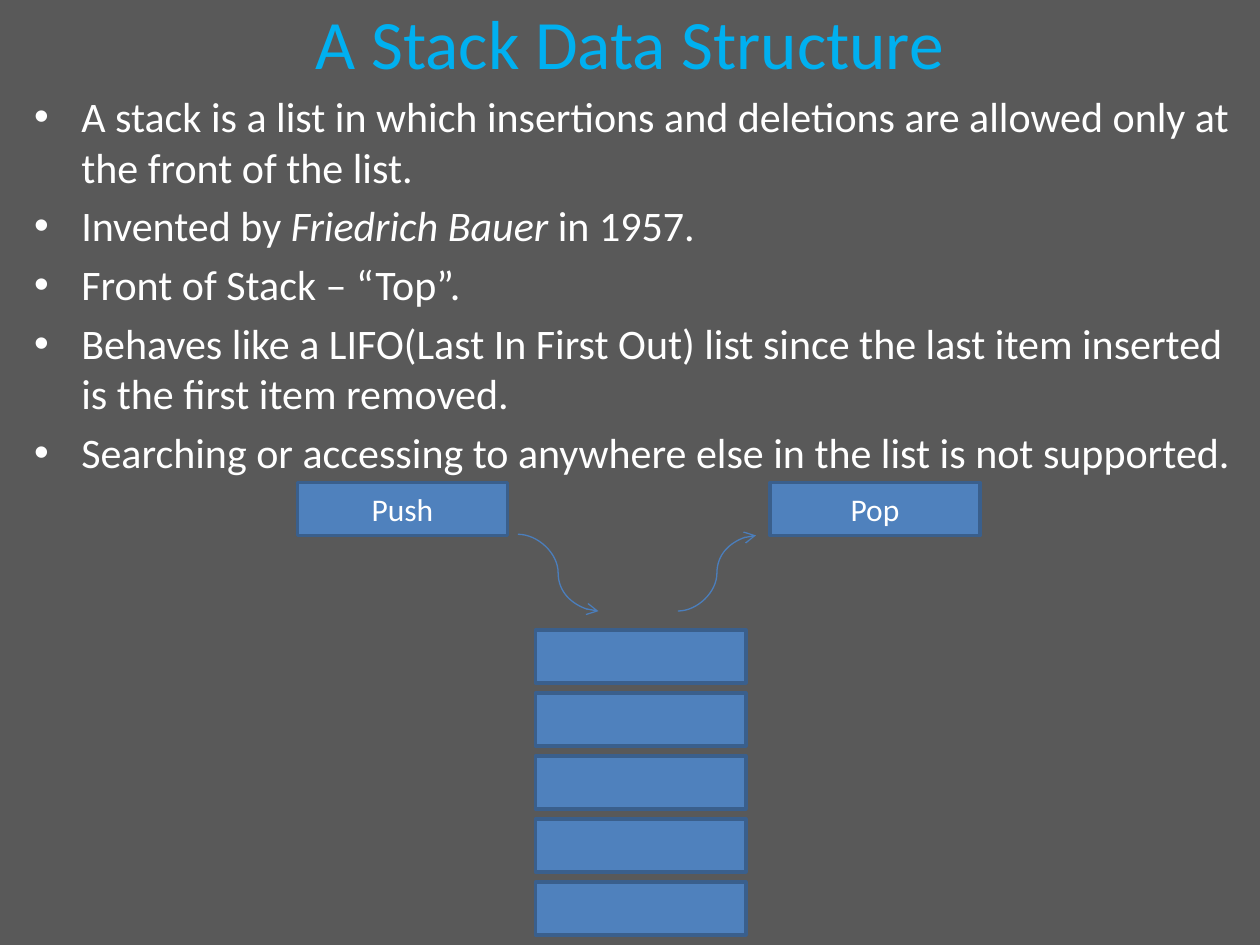
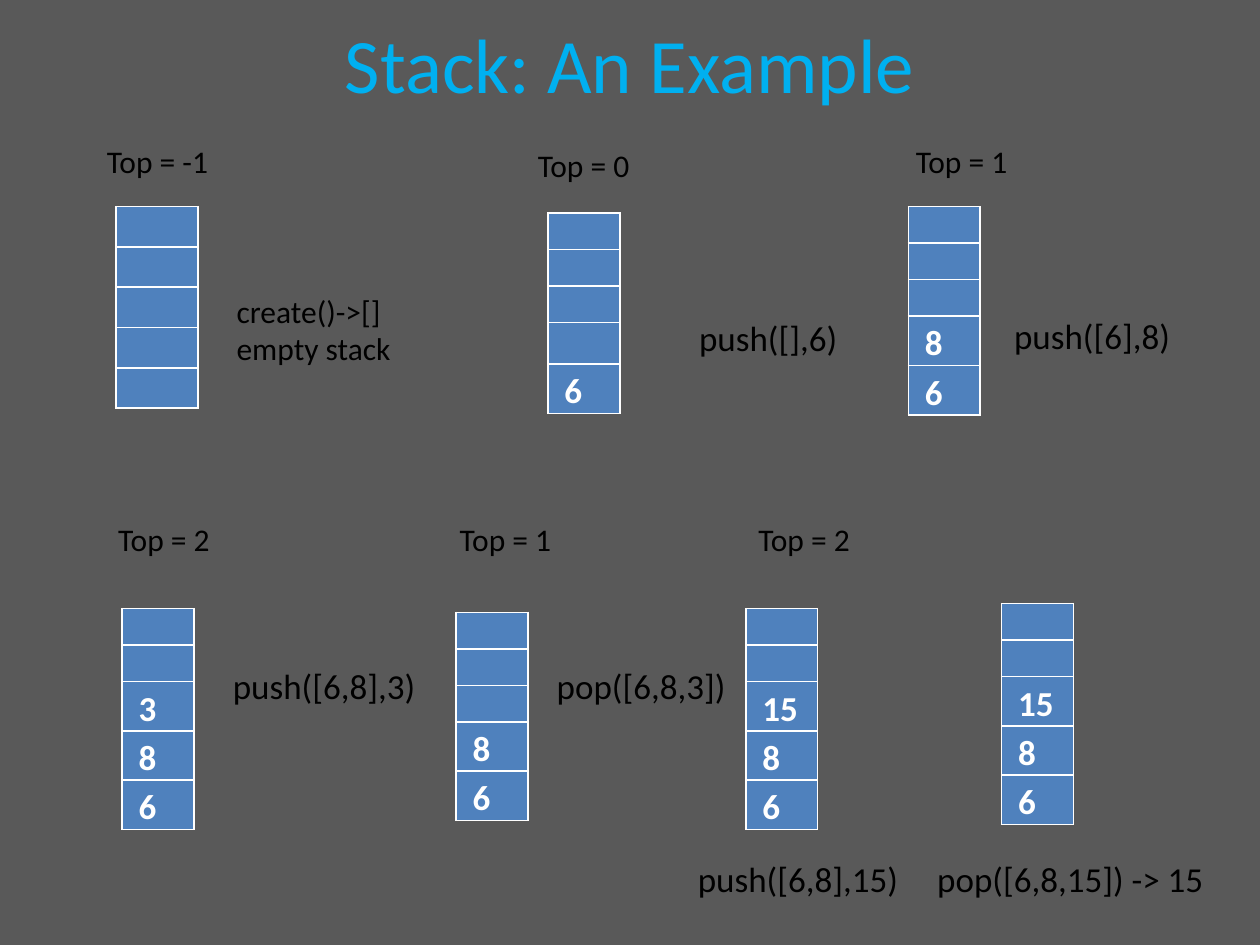
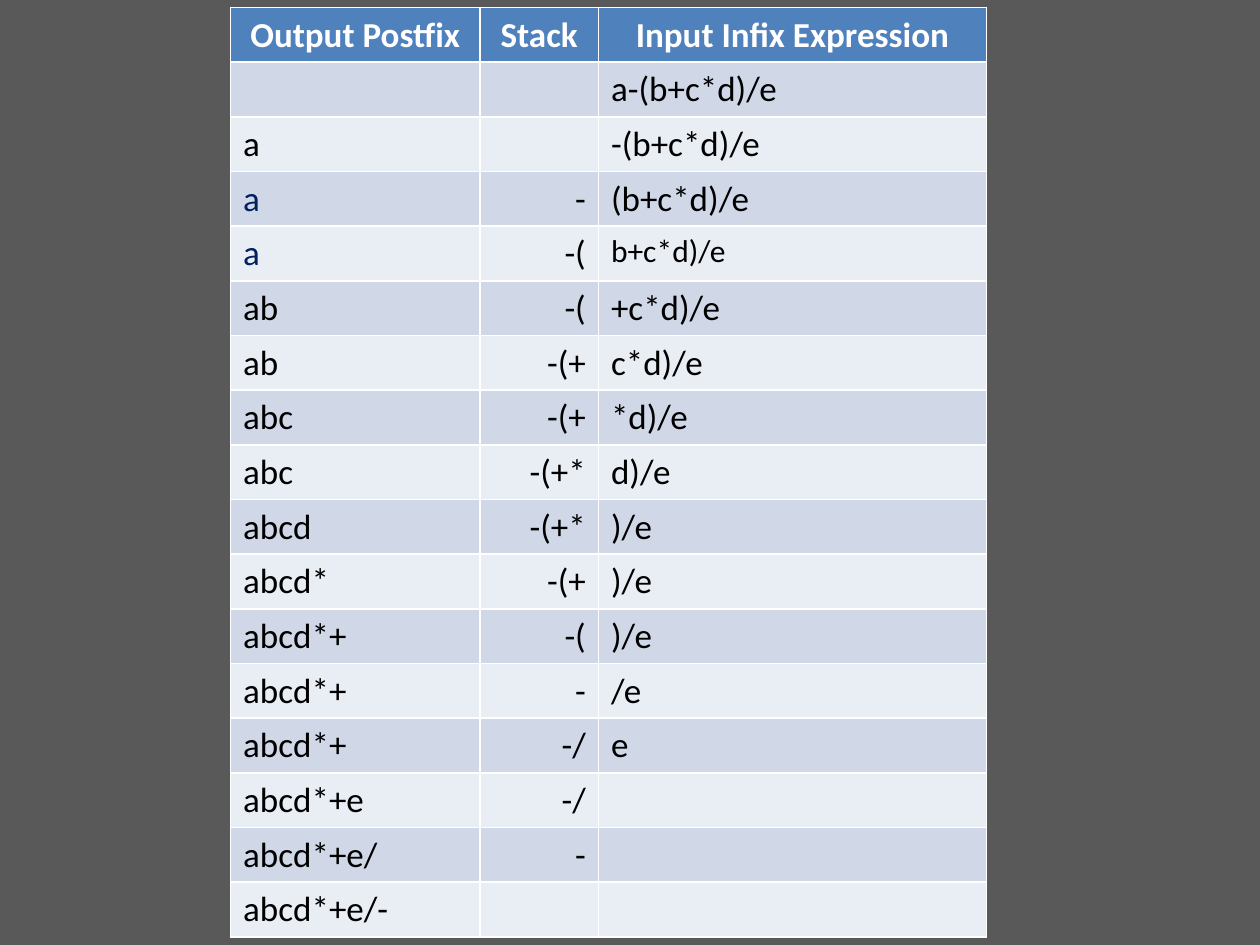
from collections import namedtuple

from lxml.etree import SubElement
from pptx import Presentation
from pptx.dml.color import RGBColor
from pptx.enum.shapes import MSO_CONNECTOR, MSO_SHAPE
from pptx.enum.text import MSO_ANCHOR, MSO_AUTO_SIZE, PP_ALIGN
from pptx.oxml.ns import qn
from pptx.util import Inches, Pt

FONT = "Calibri"
BACKGROUND, TITLE, BLUE, OUTLINE, ARROW = "595959", "00B0F0", "4F81BD", "3A5F8C", "4B7EBC"
WHITE, BLACK, NAVY = "FFFFFF", "000000", "002060"
BANDS = ("D0D8E8", "E9EDF4")

BULLETS = [
    [("A stack is a list in which insertions and deletions are allowed only at "
      "the front of the list.", False)],
    [("Invented by ", False), ("Friedrich Bauer ", True), ("in 1957.", False)],
    [("Front of Stack – “Top”.", False)],
    [("Behaves like a LIFO(Last In First Out) list since the last item inserted "
      "is the first item removed.", False)],
    [("Searching or accessing to anywhere else in the list is not supported.", False)],
]

BOX_SIZE = (1.67, 0.42)
STACK_BOXES = 5
STACK_LEFT, STACK_TOP, STACK_STEP = 4.25, 5, 0.5
ACTIONS = [("Push", 2.36, 3.83), ("Pop", 6.11, 3.83)]
ACTION_ARROWS = [(4.11, 4.24, 4.75, 4.85), (5.38, 4.85, 6, 4.25)]

CAPACITY = 5
Stack = namedtuple("Stack", "left top items width row_heights",
                   defaults=(0.57, (0.29,) * CAPACITY))
STACKS = [
    Stack(0.92, 1.64, [], 0.65, (0.32,) * CAPACITY),
    Stack(4.35, 1.69, ["6"], 0.57, (0.29, 0.29, 0.29, 0.33, 0.29)),
    Stack(7.21, 1.64, ["8", "6"]),
    Stack(0.97, 4.83, ["3", "8", "6"]),
    Stack(3.62, 4.86, ["8", "6"]),
    Stack(5.92, 4.83, ["15", "8", "6"]),
    Stack(7.95, 4.79, ["15", "8", "6"]),
]
TOP_LABELS = [
    ("Top = -1", 0.75, 1.08, 1.02), ("Top = 0", 4.17, 1.11, 0.94), ("Top = 1", 7.17, 1.08, 0.94),
    ("Top = 2", 0.84, 4.08, 0.94), ("Top = 1", 3.55, 4.08, 0.94), ("Top = 2", 5.92, 4.08, 0.94),
]
OPERATIONS = [
    ("push([],6)", 5.45, 2.46, 1.51), ("push([6],8)", 7.95, 2.44, 1.64),
    ("push([6,8],3)", 1.75, 5.22, 1.73), ("pop([6,8,3])", 4.32, 5.22, 1.6),
    ("push([6,8],15)", 5.44, 6.75, 1.9), ("pop([6,8,15]) -> 15", 7.34, 6.75, 2.66),
]

CONVERSION_COLUMNS = [
    ("Output Postfix", 1.98, PP_ALIGN.LEFT),
    ("Stack", 0.94, PP_ALIGN.RIGHT),
    ("Input Infix Expression", 3.08, PP_ALIGN.LEFT),
]
CONVERSION_STEPS = [
    ("", "", "a-(b+c*d)/e"),
    ("a", "", "-(b+c*d)/e"),
    ("a", "-", "(b+c*d)/e"),
    ("a", "-(", "b+c*d)/e"),
    ("ab", "-(", "+c*d)/e"),
    ("ab", "-(+", "c*d)/e"),
    ("abc", "-(+", "*d)/e"),
    ("abc", "-(+*", "d)/e"),
    ("abcd", "-(+*", ")/e"),
    ("abcd*", "-(+", ")/e"),
    ("abcd*+", "-(", ")/e"),
    ("abcd*+", "-", "/e"),
    ("abcd*+", "-/", "e"),
    ("abcd*+e", "-/", ""),
    ("abcd*+e/", "-", ""),
    ("abcd*+e/-", "", ""),
]
NAVY_CELLS = {(3, 0), (4, 0)}
SMALL_CELLS = {(4, 2)}


def color(value):
    return RGBColor.from_string(value)


def place(shape, left, top, width, height):
    shape.left, shape.top = Inches(left), Inches(top)
    shape.width, shape.height = Inches(width), Inches(height)


def paint(fill, value):
    fill.solid()
    fill.fore_color.rgb = color(value)


def add_run(paragraph, text, size, value, bold=False, italic=False):
    run = paragraph.add_run()
    run.text = text
    font = run.font
    font.name, font.size, font.bold, font.italic = FONT, Pt(size), bold, italic
    font.color.rgb = color(value)


def set_title(slide, text, size, top, height):
    title = slide.shapes.title
    place(title, 0.5, top, 9, height)
    frame = title.text_frame
    frame.auto_size = MSO_AUTO_SIZE.NONE
    frame.vertical_anchor = MSO_ANCHOR.MIDDLE
    paragraph = frame.paragraphs[0]
    paragraph.alignment = PP_ALIGN.CENTER
    add_run(paragraph, text, size, TITLE)


def add_bullets(slide):
    body = slide.placeholders[1]
    place(body, 0.17, 0.67, 9.75, 6.75)
    frame = body.text_frame
    frame.auto_size = MSO_AUTO_SIZE.NONE
    for index, runs in enumerate(BULLETS):
        paragraph = frame.add_paragraph() if index else frame.paragraphs[0]
        if index == 0:
            paragraph.space_before = Pt(0)
        for text, italic in runs:
            add_run(paragraph, text, 24, WHITE, italic=italic)


def add_box(slide, left, top, text=""):
    box = slide.shapes.add_shape(MSO_SHAPE.RECTANGLE, 0, 0, 0, 0)
    place(box, left, top, *BOX_SIZE)
    box.shadow.inherit = False
    paint(box.fill, BLUE)
    box.line.color.rgb = color(OUTLINE)
    box.line.width = Pt(2)
    if text:
        box.text_frame.vertical_anchor = MSO_ANCHOR.MIDDLE
        paragraph = box.text_frame.paragraphs[0]
        paragraph.alignment = PP_ALIGN.CENTER
        add_run(paragraph, text, 18, WHITE)


def add_curved_arrow(slide, ends):
    arrow = slide.shapes.add_connector(MSO_CONNECTOR.CURVE, *map(Inches, ends))
    arrow.line.color.rgb = color(ARROW)
    arrow.line.width = Pt(0.75)
    SubElement(arrow.line._get_or_add_ln(), qn("a:tailEnd"), type="arrow")
    SubElement(arrow._element.spPr, qn("a:effectLst"))


def add_label(slide, lines, left, top, width, height, size, wrap=True):
    label = slide.shapes.add_textbox(0, 0, 0, 0)
    place(label, left, top, width, height)
    frame = label.text_frame
    frame.word_wrap = wrap
    frame.vertical_anchor = MSO_ANCHOR.MIDDLE
    for index, line in enumerate(lines):
        paragraph = frame.add_paragraph() if index else frame.paragraphs[0]
        add_run(paragraph, line, size, BLACK)


def add_grid(slide, left, top, widths, heights):
    frame = slide.shapes.add_table(len(heights), len(widths), Inches(left), Inches(top),
                                   Inches(sum(widths)), Inches(sum(heights)))
    table = frame.table
    for column, width in zip(table.columns, widths):
        column.width = Inches(width)
    for row, height in zip(table.rows, heights):
        row.height = Inches(height)
    return table


def shrink_empty(cell):
    cell.margin_top = cell.margin_bottom = 0
    SubElement(cell.text_frame.paragraphs[0]._p, qn("a:endParaRPr"), sz="1000")


def add_stack(slide, stack):
    table = add_grid(slide, stack.left, stack.top, [stack.width], stack.row_heights)
    slots = [""] * (CAPACITY - len(stack.items)) + stack.items
    for row, item in enumerate(slots):
        cell = table.cell(row, 0)
        paint(cell.fill, BLUE)
        if not item:
            shrink_empty(cell)
            continue
        cell.margin_left, cell.margin_right = Inches(0.13), Inches(0.07)
        cell.margin_top = cell.margin_bottom = 0
        paragraph = cell.text_frame.paragraphs[0]
        paragraph.line_spacing = 1.15
        add_run(paragraph, item, 20, WHITE, bold=True)


def add_conversion_table(slide):
    headings, widths, alignments = zip(*CONVERSION_COLUMNS)
    rows = [headings] + CONVERSION_STEPS
    table = add_grid(slide, 1.83, 0.06, widths, [0.43] * len(rows))
    for row, texts in enumerate(rows):
        header = row == 0
        for column, text in enumerate(texts):
            cell = table.cell(row, column)
            paint(cell.fill, BLUE if header else BANDS[(row - 1) % 2])
            if not text:
                continue
            paragraph = cell.text_frame.paragraphs[0]
            paragraph.alignment = PP_ALIGN.CENTER if header else alignments[column]
            ink = WHITE if header else NAVY if (row, column) in NAVY_CELLS else BLACK
            size = 18 if (row, column) in SMALL_CELLS else 20
            add_run(paragraph, text, size, ink, bold=header)


def build_structure_slide(slide):
    set_title(slide, "A Stack Data Structure", 39.6, 0, 0.67)
    add_bullets(slide)
    for index in range(STACK_BOXES):
        add_box(slide, STACK_LEFT, STACK_TOP + index * STACK_STEP)
    for text, left, top in ACTIONS:
        add_box(slide, left, top, text)
    for ends in ACTION_ARROWS:
        add_curved_arrow(slide, ends)


def build_example_slide(slide):
    set_title(slide, "Stack: An Example", 44, 0.08, 0.83)
    for stack in STACKS:
        add_stack(slide, stack)
    for text, left, top, width in TOP_LABELS:
        add_label(slide, [text], left, top, width, 0.4, 18, wrap=False)
    add_label(slide, ["create()->[]", "empty stack"], 1.78, 2.26, 1.73, 0.71, 18)
    for text, left, top, width in OPERATIONS:
        add_label(slide, [text], left, top, width, 0.44, 20)


def main():
    presentation = Presentation()
    presentation.slide_width, presentation.slide_height = Inches(10), Inches(7.5)
    paint(presentation.slide_master.background.fill, BACKGROUND)
    builders = [(1, build_structure_slide), (5, build_example_slide), (6, add_conversion_table)]
    for layout, build in builders:
        build(presentation.slides.add_slide(presentation.slide_layouts[layout]))
    presentation.save("out.pptx")


if __name__ == "__main__":
    main()
